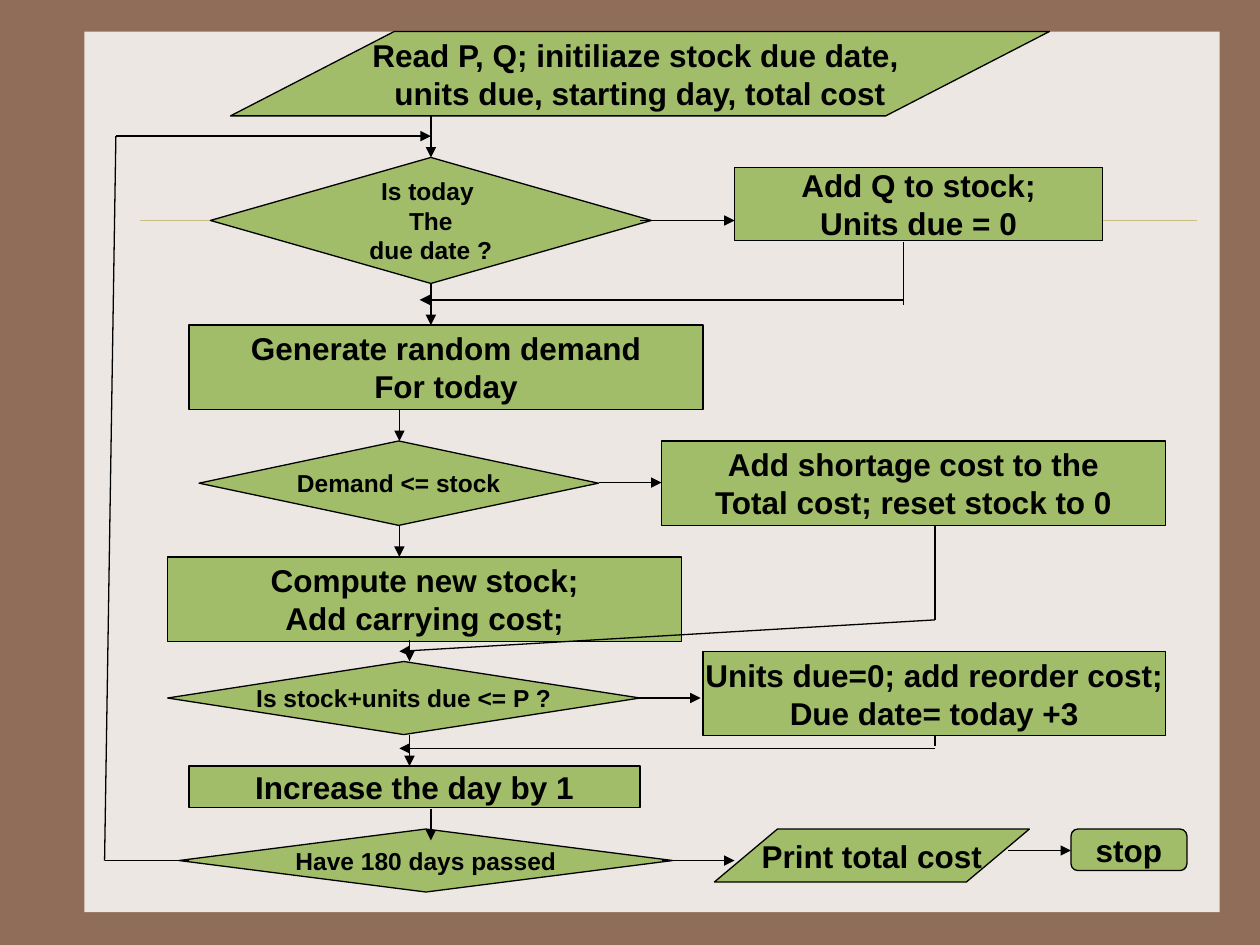
from itertools import pairwise

from lxml.etree import SubElement
from pptx import Presentation
from pptx.dml.color import RGBColor
from pptx.enum.shapes import MSO_CONNECTOR, MSO_SHAPE
from pptx.enum.text import MSO_ANCHOR, PP_ALIGN
from pptx.oxml.ns import qn
from pptx.util import Inches, Pt

COLORS = {"frame": "906D58", "panel": "EDE7E3", "rule": "CBBD83",
          "node": "A1BD69", "ink": "000000"}

DATA = MSO_SHAPE.FLOWCHART_DATA
DECISION = MSO_SHAPE.FLOWCHART_DECISION
PROCESS = MSO_SHAPE.FLOWCHART_PROCESS
TERMINAL = MSO_SHAPE.FLOWCHART_ALTERNATE_PROCESS

# Text size by kind: diamonds taper, so their text is smaller to stay inside
TEXT_SIZES = {DATA: 18, DECISION: 14, PROCESS: 18, TERMINAL: 18}

# Kind, (left, top, width, height), lines of text
NODES = [
    (DATA, (1.83, 0.25, 6.5, 0.67),
     ["Read P, Q; initiliaze stock due date, ", "units due, starting day, total cost"]),
    (DECISION, (1.67, 1.25, 3.5, 1), ["Is today ", "The", "due date ?"]),
    (PROCESS, (5.83, 1.33, 2.92, 0.58), ["Add Q to stock;", "Units due = 0"]),
    (PROCESS, (1.5, 2.58, 4.08, 0.67), ["Generate random demand", "For today"]),
    (DECISION, (1.58, 3.5, 3.17, 0.67), ["Demand <= stock"]),
    (PROCESS, (5.25, 3.5, 4, 0.67),
     ["Add shortage cost to the", "Total cost; reset stock to 0"]),
    (PROCESS, (1.33, 4.42, 4.08, 0.67), ["Compute new stock;", "Add carrying cost;"]),
    (DECISION, (1.33, 5.25, 3.75, 0.58), ["Is stock+units due <= P ?"]),
    (PROCESS, (5.58, 5.17, 3.67, 0.67),
     ["Units due=0; add reorder cost;", "Due date= today +3"]),
    (PROCESS, (1.5, 6.08, 3.58, 0.33), ["Increase the day by 1"]),
    (DECISION, (1.42, 6.58, 3.92, 0.5), ["Have 180 days passed"]),
    (DATA, (5.67, 6.58, 2.5, 0.42), ["Print total cost"]),
    (TERMINAL, (8.5, 6.58, 0.92, 0.33), ["stop"]),
]

# Straight arrows: x, top, bottom for the way down; y, left, right for the exits
DOWN_ARROWS = [(3.42, 0.92, 1.25), (3.42, 2.25, 2.58), (3.17, 3.25, 3.5),
               (3.17, 4.17, 4.42), (3.25, 5.08, 5.25), (3.25, 5.83, 6.08),
               (3.42, 6.42, 6.67)]
RIGHT_ARROWS = [(1.75, 5.08, 5.83), (3.83, 4.75, 5.25), (5.54, 5.06, 5.56),
                (6.83, 5.25, 5.83), (6.75, 8, 8.5)]

# Bent routes, with the arrowhead on the last stretch
ROUTES = [
    [(1.5, 6.83), (0.83, 6.83), (0.92, 1.08), (3.42, 1.08)],
    [(7.42, 4.17), (7.42, 4.92), (3.17, 5.17)],
]
# Returns whose down stroke does not end exactly on the arrow: x, top, bottom, y, end
RETURNS = [(7.17, 1.92, 2.42, 2.38, 3.33), (7.42, 5.83, 5.92, 5.94, 3.17)]


def color(name):
    return RGBColor.from_string(COLORS[name])


def add_box(slide, kind, box, fill, line=None):
    shape = slide.shapes.add_shape(kind, *map(Inches, box))
    shape.shadow.inherit = False
    shape.fill.solid()
    shape.fill.fore_color.rgb = color(fill)
    if line:
        shape.line.color.rgb = color(line)
        shape.line.width = Pt(0.75)
    else:
        shape.line.fill.background()
    return shape


def add_node(slide, kind, box, lines):
    shape = add_box(slide, kind, box, "node", "ink")
    text_frame = shape.text_frame
    text_frame.word_wrap = False
    text_frame.vertical_anchor = MSO_ANCHOR.MIDDLE
    text_frame.text = "\n".join(lines)
    for paragraph in text_frame.paragraphs:
        paragraph.alignment = PP_ALIGN.CENTER
        for run in paragraph.runs:
            run.font.name = "Arial"
            run.font.size = Pt(TEXT_SIZES[kind])
            run.font.bold = True
            run.font.color.rgb = color("ink")


def add_line(slide, start, end, arrow=False, ink="ink", width=0.75):
    connector = slide.shapes.add_connector(
        MSO_CONNECTOR.STRAIGHT, *map(Inches, (*start, *end)))
    connector.line.color.rgb = color(ink)
    connector.line.width = Pt(width)
    properties = connector._element.spPr
    if arrow:
        SubElement(properties.find(qn("a:ln")), qn("a:tailEnd"), type="triangle")
    SubElement(properties, qn("a:effectLst"))


def add_route(slide, points):
    stretches = list(pairwise(points))
    for index, (start, end) in enumerate(stretches, 1):
        add_line(slide, start, end, arrow=index == len(stretches))


def main():
    presentation = Presentation()
    presentation.slide_width = Inches(10)
    presentation.slide_height = Inches(7.5)
    slide = presentation.slides.add_slide(presentation.slide_layouts[6])

    # Background, panel and thin rule
    slide.background.fill.solid()
    slide.background.fill.fore_color.rgb = color("frame")
    add_box(slide, MSO_SHAPE.RECTANGLE, (0.67, 0.25, 9.01, 6.99), "panel")
    add_line(slide, (1.11, 1.75), (9.5, 1.75), ink="rule", width=0.25)

    # Flowchart steps
    for kind, box, lines in NODES:
        add_node(slide, kind, box, lines)

    # Arrows and returns
    for x, top, bottom in DOWN_ARROWS:
        add_line(slide, (x, top), (x, bottom), arrow=True)
    for y, left, right in RIGHT_ARROWS:
        add_line(slide, (left, y), (right, y), arrow=True)
    for points in ROUTES:
        add_route(slide, points)
    for x, top, bottom, y, end in RETURNS:
        add_line(slide, (x, top), (x, bottom))
        add_line(slide, (x, y), (end, y), arrow=True)

    presentation.save("out.pptx")


if __name__ == "__main__":
    main()
